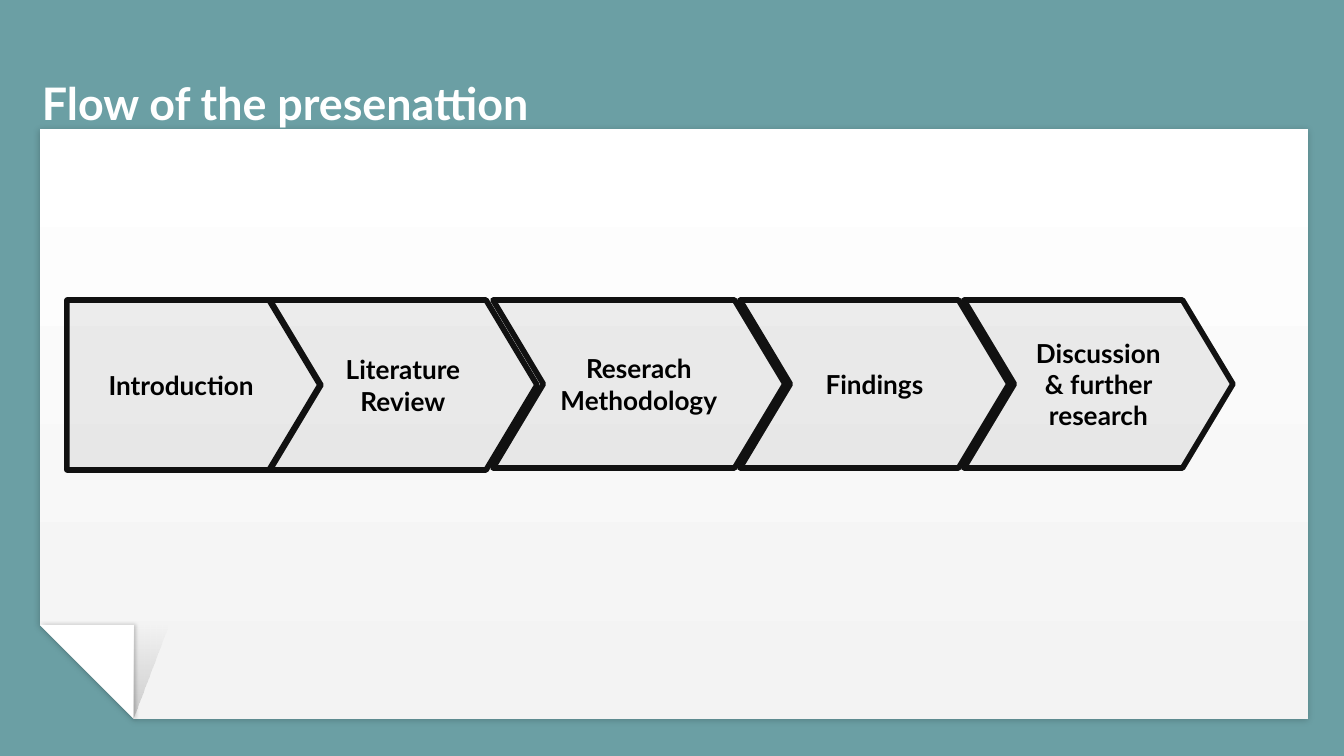
from dataclasses import dataclass

from lxml.etree import SubElement
from pptx import Presentation
from pptx.dml.color import RGBColor
from pptx.enum.shapes import MSO_SHAPE
from pptx.enum.text import MSO_ANCHOR, PP_ALIGN
from pptx.oxml import parse_xml
from pptx.oxml.ns import nsdecls, qn
from pptx.util import Pt

PX = 914400 / 134.4


@dataclass(frozen=True)
class Theme:
    font: str = "Lato"
    background: str = "6B9FA4"
    paper: str = "FFFFFF"
    paper_end: str = "F3F3F3"
    ink: str = "111111"
    text: str = "000000"
    title_size: int = 24
    step_size: int = 14
    step_line: int = 3
    step_opacity: int = 7


theme = Theme()


def emu(*lengths):
    return [round(length * PX) for length in lengths]


def set_gradient(shape, stops, angle):
    """Fill with (position %, colour, opacity %) stops; the angle runs clockwise."""
    shape.fill.gradient()
    old = shape._element.spPr.find(qn("a:gradFill"))
    stop_xml = "".join(
        f'<a:gs pos="{position * 1000}"><a:srgbClr val="{color}">'
        f'<a:alpha val="{opacity * 1000}"/></a:srgbClr></a:gs>'
        for position, color, opacity in stops
    )
    new = parse_xml(
        f'<a:gradFill {nsdecls("a")} rotWithShape="1"><a:gsLst>{stop_xml}</a:gsLst>'
        f'<a:lin ang="{angle * 60000}" scaled="0"/></a:gradFill>'
    )
    old.getparent().replace(old, new)


deck = Presentation()
deck.slide_width, deck.slide_height = emu(1344, 756)
slide = deck.slides.add_slide(deck.slide_layouts[6])
slide.background.fill.solid()
slide.background.fill.fore_color.rgb = RGBColor.from_string(theme.background)

# Sheet of paper with its folded corner: kind, place, shadow (blur pt, direction)
paper_parts = [
    (MSO_SHAPE.SNIP_1_RECTANGLE, (40, 129, 1268, 590), (3.4, 90)),
    (MSO_SHAPE.RIGHT_TRIANGLE, (40, 625, 94, 94), (2.2, 0)),
    (MSO_SHAPE.RIGHT_TRIANGLE, (133, 625, 35, 94), None),
]
paper_shapes = []
for kind, place, shadow in paper_parts:
    part = slide.shapes.add_shape(kind, *emu(*place))
    part.rotation = 180
    part.line.fill.background()
    part.shadow.inherit = False
    if shadow:
        blur, direction = shadow
        effects = part._element.spPr.find(qn("a:effectLst"))
        effects.append(parse_xml(
            f'<a:outerShdw {nsdecls("a")} blurRad="{Pt(blur)}" dist="{Pt(0.8)}" '
            f'dir="{direction * 60000}" algn="t" rotWithShape="0">'
            f'<a:srgbClr val="{theme.text}"><a:alpha val="20000"/></a:srgbClr>'
            f'</a:outerShdw>'
        ))
    paper_shapes.append(part)

sheet, fold, fold_shade = paper_shapes
sheet.adjustments[0] = 0.16
set_gradient(sheet, [(0, theme.paper, 100), (100, theme.paper_end, 100)], 270)
fold.fill.solid()
fold.fill.fore_color.rgb = RGBColor.from_string(theme.paper)
fold_shade._element.spPr.xfrm.set("flipH", "1")
set_gradient(fold_shade, [(0, theme.text, 17), (100, theme.text, 0)], 90)

title = slide.shapes.add_textbox(*emu(42, 52, 1235, 77))
frame = title.text_frame
frame.word_wrap = True
frame.vertical_anchor = MSO_ANCHOR.BOTTOM
frame.margin_left = frame.margin_right = frame.margin_top = frame.margin_bottom = 0
frame.text = "Flow of the presenattion"
title_font = frame.paragraphs[0].runs[0].font
title_font.name, title_font.size, title_font.bold = theme.font, Pt(theme.title_size), True
title_font.color.rgb = RGBColor.from_string(theme.paper)

# Steps: label, left, width, height
steps = [
    ("Introduction", 67, 254, 170),
    ("Literature Review", 269, 268, 170),
    ("Reserach Methodology", 493, 292, 168),
    ("Findings", 740, 269, 168),
    ("Discussion & further research", 964, 269, 168),
]
for index, (label, left, width, height) in enumerate(steps):
    kind = MSO_SHAPE.CHEVRON if index else MSO_SHAPE.PENTAGON
    step = slide.shapes.add_shape(kind, *emu(left, 300, width, height))
    step.adjustments[0] = 0.3
    step.shadow.inherit = False
    step.fill.solid()
    step.fill.fore_color.rgb = RGBColor.from_string(theme.ink)
    color = step._element.spPr.find(qn("a:solidFill"))[0]
    SubElement(color, qn("a:alpha")).set("val", str(theme.step_opacity * 1000))
    step.line.color.rgb = RGBColor.from_string(theme.ink)
    step.line.width = Pt(theme.step_line)

    frame = step.text_frame
    frame.word_wrap = True
    frame.vertical_anchor = MSO_ANCHOR.MIDDLE
    (margin,) = emu(13)
    frame.margin_left = frame.margin_right = margin
    frame.margin_top = frame.margin_bottom = margin
    frame.text = label
    para = frame.paragraphs[0]
    para.alignment = PP_ALIGN.CENTER
    font = para.runs[0].font
    font.name, font.size, font.bold = theme.font, Pt(theme.step_size), True
    font.color.rgb = RGBColor.from_string(theme.text)

deck.save("out.pptx")
